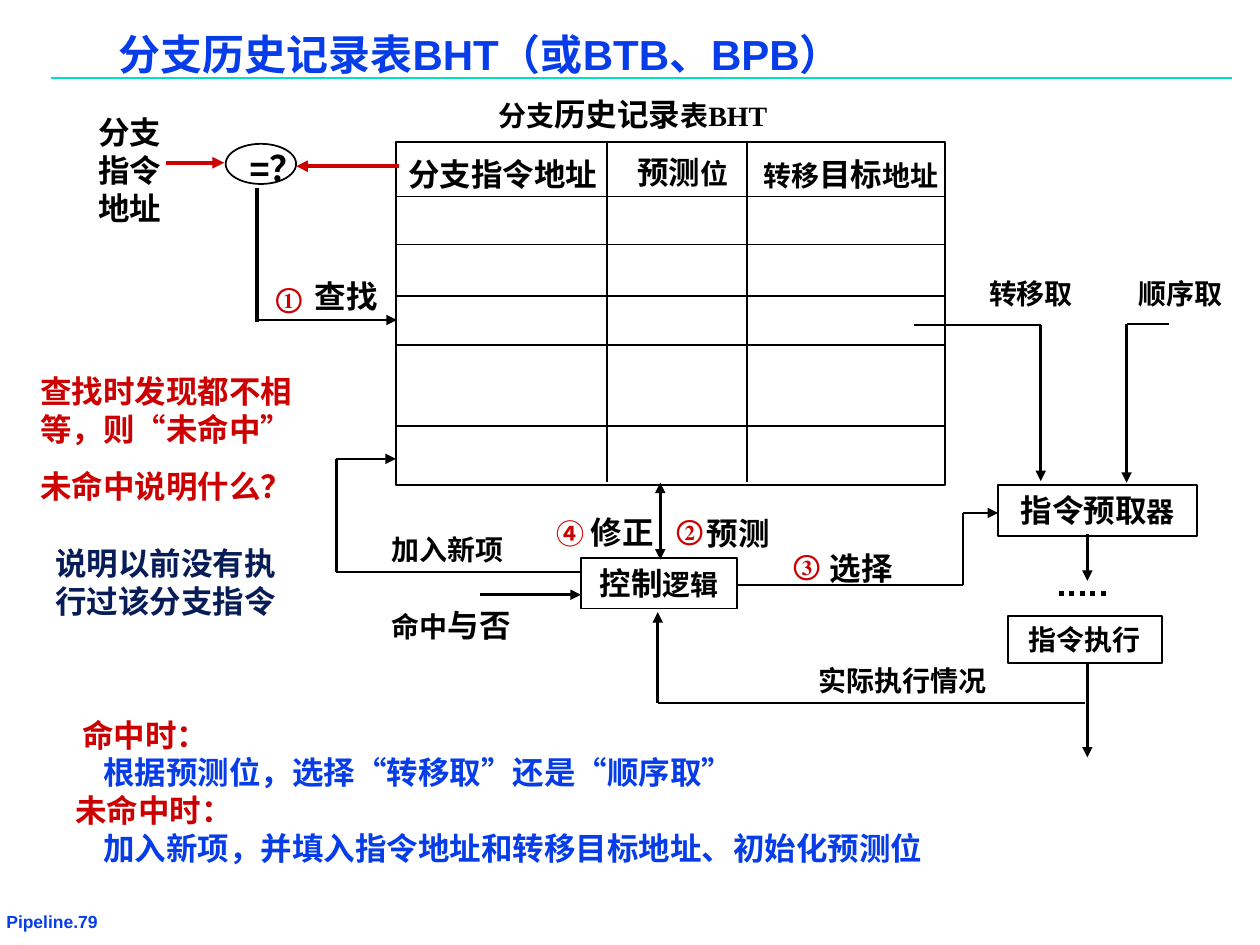
from lxml import etree
from pptx import Presentation
from pptx.dml.color import RGBColor
from pptx.enum.dml import MSO_LINE
from pptx.enum.shapes import MSO_CONNECTOR, MSO_SHAPE
from pptx.enum.text import MSO_ANCHOR, PP_ALIGN
from pptx.oxml.ns import qn
from pptx.util import Cm, Pt

STRAIGHT = MSO_CONNECTOR.STRAIGHT
RECTANGLE = MSO_SHAPE.RECTANGLE
OVAL = MSO_SHAPE.OVAL
DOTTED = MSO_LINE.ROUND_DOT
TOP = MSO_ANCHOR.TOP
CENTER = PP_ALIGN.CENTER

COLORS = {
    "black": "000000",
    "red": "CC0000",
    "blue": "063DE8",
    "navy": "081D58",
    "teal": "00DFCA",
}
SERIF = "Times New Roman"
SANS = "Arial"

GRID_LEFT, GRID_TOP, GRID_WIDTH, GRID_HEIGHT = 7.98, 2.87, 11.07, 6.91
ROW_LINES = [3.96, 4.93, 5.97, 6.96, 8.59]
COLUMN_LINES = [12.24, 15.06]

ROUTES = [
    [(5.18, 6.45), (8, 6.45)],
    [(18.42, 6.55), (20.98, 6.55), (20.98, 9.7)],
    [(23.57, 6.53), (22.71, 6.53), (22.71, 9.73)],
    [(21.92, 10.77), (21.92, 11.71)],
    [(21.92, 13.34), (21.92, 15.27)],
    [(21.87, 14.17), (13.26, 14.17), (13.26, 12.34)],
    [(9.68, 11.99), (11.71, 11.99)],
    [(11.71, 11.53), (6.78, 11.53), (6.78, 9.25), (7.98, 9.25)],
]

BOXES = [
    ((20.12, 9.78, 4.01, 1.02), [("指令预取", 18), ("器", 16)]),
    ((11.71, 11.25, 3.15, 1.02), [("控制", 18), ("逻辑", 16)]),
    ((20.32, 12.42, 3.1, 0.94), [("指令执行", 16)]),
]

LABELS = [
    ((7.98, 3, 4.9, 1.02), [("分支指令地址", 18)]),
    ((12.6, 2.97, 2.97, 1.02), [("预测", 18), ("位", 16)]),
    ((15.14, 3, 4.17, 1.02), [("转移", 16), ("目标", 18), ("地址", 16)]),
    ((9.8, 1.8, 6.45, 1.02), [("分支", 16), ("历史记录", 18), ("表BHT", 16)]),
    ((1.73, 2.16, 1.8, 2.54), [("分支指令地址", 18)]),
    ((16.26, 13.26, 4.78, 0.94), [("实际执行情况", 16)]),
    ((7.65, 12.09, 3.35, 1.02), [("命中", 16), ("与否", 18)]),
    ((7.65, 10.62, 3.61, 0.94), [("加入新项", 16)]),
    ((22.71, 5.46, 2.4, 0.94), [("顺序取", 16)]),
    ((19.69, 5.46, 2.4, 0.94), [("转移取", 16)]),
    ((6.1, 5.46, 2, 1.02), [("查找", 18)]),
    ((5.31, 5.54, 1.22, 0.94), [("①", 16, "red")]),
    ((16.48, 10.95, 2.84, 1.02), [("选择", 18)]),
    ((15.75, 10.92, 1.1, 0.94), [("③", 16, "red")]),
    ((13.39, 10.21, 1.1, 0.94), [("②", 16, "red")]),
    ((14, 10.24, 2.87, 1.02), [("预测", 18)]),
    ((10.97, 10.21, 2.74, 1.02), [("④ ", 16, "red"), ("修正", 18)]),
    ((0.86, 10.85, 4.98, 1.78), [("说明以前没有执行过该分支指令", 18, "navy")]),
]

MISS_NOTES = ["查找时发现都不相等，则“未命中”", "未命中说明什么？"]

CASES = [
    (1.41, "命中时：", "red"),
    (1.83, "根据预测位，选择“转移取”还是“顺序取”", "blue"),
    (1.27, "未命中时：", "red"),
    (1.83, "加入新项，并填入指令地址和转移目标地址、初始化预测位", "blue"),
]


def rgb(color):
    """Return the colour object for a palette name."""
    return RGBColor.from_string(COLORS[color])


def add_run(paragraph, text, size, color="black", font=SERIF):
    """Append one bold run to a paragraph."""
    run = paragraph.add_run()
    run.text = text
    run.font.size = Pt(size)
    run.font.bold = True
    run.font.name = font
    run.font.color.rgb = rgb(color)


def add_text(slide, frame, runs, font=SERIF):
    """Add a wrapping text box with one paragraph of runs."""
    text_frame = slide.shapes.add_textbox(*map(Cm, frame)).text_frame
    text_frame.word_wrap = True
    for run in runs:
        add_run(text_frame.paragraphs[0], *run, font=font)
    return text_frame


def add_heading(slide, frame, text, size):
    """Add blue sans text with narrow margins."""
    text_frame = add_text(slide, frame, [(text, size, "blue")], SANS)
    text_frame.margin_left = text_frame.margin_right = Cm(0.18)
    text_frame.margin_top = text_frame.margin_bottom = Cm(0.08)
    return text_frame


def add_outline(slide, kind, frame, runs=()):
    """Add an unfilled black outline with optional centred runs."""
    shape = slide.shapes.add_shape(kind, *map(Cm, frame))
    shape.shadow.inherit = False
    shape.fill.background()
    shape.line.color.rgb = rgb("black")
    shape.line.width = Pt(1)
    shape.text_frame.vertical_anchor = TOP
    paragraph = shape.text_frame.paragraphs[0]
    paragraph.alignment = CENTER
    for run in runs:
        add_run(paragraph, *run)


def add_line(slide, start, end, width=1, color="black", ends=()):
    """Add a straight line with arrowheads at the named ends."""
    connector = slide.shapes.add_connector(STRAIGHT, *map(Cm, (*start, *end)))
    etree.SubElement(connector._element.spPr, qn("a:effectLst"))
    connector.line.width = Pt(width)
    connector.line.color.rgb = rgb(color)
    for name in ends:
        arrow = etree.SubElement(connector.line._get_or_add_ln(), qn(f"a:{name}"))
        arrow.set("type", "triangle")
    return connector


def add_route(slide, points, width=1.5):
    """Join points with lines and end in an arrowhead."""
    for index in range(1, len(points)):
        ends = ["tailEnd"] if index == len(points) - 1 else []
        add_line(slide, points[index - 1], points[index], width, ends=ends)


def add_history_grid(slide):
    """Draw the frame and rules of the branch history table."""
    add_outline(slide, RECTANGLE, (GRID_LEFT, GRID_TOP, GRID_WIDTH, GRID_HEIGHT))
    for y in ROW_LINES:
        add_line(slide, (GRID_LEFT, y), (GRID_LEFT + GRID_WIDTH, y))
    for x in COLUMN_LINES:
        add_line(slide, (x, GRID_TOP), (x, GRID_TOP + GRID_HEIGHT - 0.07))


def add_connections(slide):
    """Draw the arrows between the table, logic and fetch units."""
    for points in ROUTES:
        add_route(slide, points)
    add_route(slide, [(14.88, 11.79), (19.41, 11.79), (19.41, 10.34), (20.12, 10.34)], 1)
    add_line(slide, (13.31, 9.73), (13.31, 11.28), 1.5, ends=["headEnd", "tailEnd"])
    add_line(slide, (8.05, 3.35), (5.97, 3.35), 2.25, "red", ["tailEnd"])
    add_line(slide, (3.35, 3.28), (4.52, 3.28), 2.25, "red", ["tailEnd"])
    add_line(slide, (5.18, 3.78), (5.18, 6.5), 2.25)
    add_line(slide, (21.34, 11.96), (22.38, 11.96), 3).line.dash_style = DOTTED


def add_notes_text(slide):
    """Add the miss remarks and the hit and miss cases."""
    text_frame = add_text(slide, (0.56, 7.37, 6.1, 2.95), [(MISS_NOTES[0], 18, "red")])
    paragraph = text_frame.add_paragraph()
    paragraph.space_before = Pt(11.2)
    add_run(paragraph, MISS_NOTES[1], 18, "red")

    text_frame = add_text(slide, (0, 14.3, 20.7, 3.3), [])
    for index, (indent, text, color) in enumerate(CASES):
        paragraph = text_frame.add_paragraph() if index else text_frame.paragraphs[0]
        paragraph._p.get_or_add_pPr().set("marL", str(Cm(indent)))
        add_run(paragraph, text, 18, color)


def main():
    """Build and save the branch history table slide."""
    presentation = Presentation()
    presentation.slide_width, presentation.slide_height = Cm(25.4), Cm(19.05)
    slide = presentation.slides.add_slide(presentation.slide_layouts[6])
    add_heading(slide, (-0.05, 18.29, 3.5, 0.56), "Pipeline.79", 10)
    add_line(slide, (1.02, 1.57), (24.84, 1.57), color="teal")
    title = add_heading(slide, (2.21, 0.63, 19.08, 1.02), "分支历史记录表BHT（或BTB、BPB）", 24)
    title.paragraphs[0].line_spacing = 0.87
    add_history_grid(slide)
    for frame, runs in BOXES:
        add_outline(slide, RECTANGLE, frame, runs)
    add_text(slide, (4.78, 2.82, 1.7, 1.96), [("=？", 20)], SANS)
    add_outline(slide, OVAL, (4.55, 2.9, 1.42, 0.81))
    add_connections(slide)
    for frame, runs in LABELS:
        add_text(slide, frame, runs)
    add_notes_text(slide)
    presentation.save("out.pptx")


if __name__ == "__main__":
    main()
